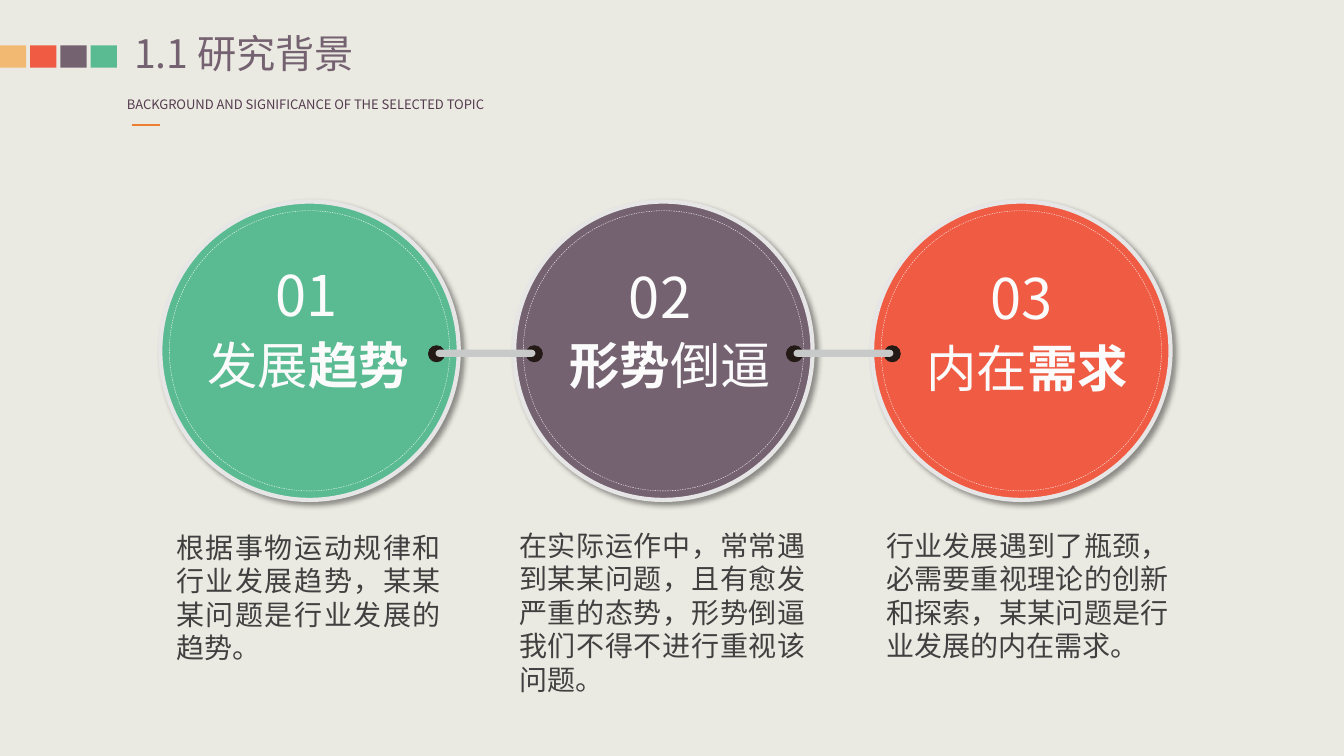
import pptx
import pptx.util
import pptx.dml.color
import pptx.enum.dml
import pptx.enum.shapes
import pptx.enum.text
import pptx.oxml
import pptx.oxml.ns

Inches, Pt = pptx.util.Inches, pptx.util.Pt
RGB = pptx.dml.color.RGBColor
KIND = pptx.enum.shapes.MSO_SHAPE
ALIGN = pptx.enum.text.PP_ALIGN
ANCHOR = pptx.enum.text.MSO_ANCHOR

FONT = "Noto Sans CJK SC"
PAPER = RGB(0xEB, 0xEA, 0xE2)
AMBER = RGB(0xF2, 0xB9, 0x73)
RED = RGB(0xEF, 0x5B, 0x43)
PLUM = RGB(0x75, 0x62, 0x71)
GREEN = RGB(0x5A, 0xBB, 0x93)
RIM = RGB(0xE7, 0xE6, 0xE6)
DASH = RGB(0xFE, 0xFE, 0xFE)
WHITE = RGB(0xFB, 0xFB, 0xFB)
WINE = RGB(0x54, 0x3C, 0x4F)
ORANGE = RGB(0xED, 0x7D, 0x31)
BLACK = RGB(0x23, 0x19, 0x15)
GREY = RGB(0xC8, 0xC9, 0xC9)
INK = RGB(0x40, 0x40, 0x40)

DISC = 2.96
TOP = 2.0
DOT = 0.16

# disc left, colour, number, (words, bold) runs, nudge of heading and number,
# body box, body text
TOPICS = [
    (1.59, GREEN, "01", [("发展", False), ("趋势", True)],
     (0, 0), (-0.01, -0.02), (1.65, 5.21, 2.82, 1.45),
     "根据事物运动规律和行业发展趋势，某某某问题是行业发展的趋势。"),
    (5.10, PLUM, "02", [("形势", True), ("倒逼", False)],
     (0.08, 0), (-0.01, 0), (5.05, 5.19, 3.04, 1.78),
     "在实际运作中，常常遇到某某问题，且有愈发严重的态势，形势倒逼我们不得不进行重视该问题。"),
    (8.65, RED, "03", [("内在", False), ("需求", True)],
     (0.07, 0.02), (0.03, 0.01), (8.69, 5.19, 3.0, 1.45),
     "行业发展遇到了瓶颈，必需要重视理论的创新和探索，某某问题是行业发展的内在需求。"),
]


def place(box):
    return [Inches(n) for n in box]


def style(para, size, color):
    font = para.font
    font.size, font.name = Pt(size), FONT
    font.color.rgb = color
    props = para._p.pPr.find(pptx.oxml.ns.qn("a:defRPr"))
    latin = props.find(pptx.oxml.ns.qn("a:latin"))
    latin.addnext(pptx.oxml.parse_xml(
        f'<a:ea {pptx.oxml.ns.nsdecls("a")} typeface="{FONT}"/>'))


def text(slide, box, runs, size, color, wrap=False):
    frame = slide.shapes.add_textbox(*place(box)).text_frame
    frame.word_wrap = wrap
    para = frame.paragraphs[0]
    for words, bold in runs:
        run = para.add_run()
        run.text = words
        if bold:
            run.font.bold = True
    style(para, size, color)
    return para


def shape(slide, kind, box, fill=None, line=None, width=0):
    item = slide.shapes.add_shape(kind, *place(box))
    item.shadow.inherit = False
    if fill is None:
        item.fill.background()
    else:
        item.fill.solid()
        item.fill.fore_color.rgb = fill
    if line is None:
        item.line.fill.background()
    else:
        item.line.color.rgb = line
        item.line.width = Pt(width)
    return item


def shade(item):
    """Give a shape a soft shadow to the lower right."""
    effects = item._element.spPr.find(pptx.oxml.ns.qn("a:effectLst"))
    effects.append(pptx.oxml.parse_xml(
        f'<a:outerShdw {pptx.oxml.ns.nsdecls("a")} blurRad="{Pt(4)}" '
        f'dist="{Pt(3)}" dir="2700000" algn="tl" rotWithShape="0">'
        '<a:srgbClr val="000000"><a:alpha val="40000"/></a:srgbClr>'
        '</a:outerShdw>'))


def header(slide, x, y):
    for i, color in enumerate([AMBER, RED, PLUM, GREEN]):
        shape(slide, KIND.RECTANGLE, (x + 0.3 * i, y + 0.16, 0.26, 0.22), color)

    title = slide.shapes.title
    title.left, title.top, title.width, title.height = place(
        (x + 1.33, y, 3.99, 0.47))
    frame = title.text_frame
    frame.text = "1.1 研究背景"
    frame.margin_left = frame.margin_right = 0
    frame.margin_top = frame.margin_bottom = 0
    frame.vertical_anchor = ANCHOR.MIDDLE
    frame.auto_size = pptx.enum.text.MSO_AUTO_SIZE.NONE
    frame.paragraphs[0].alignment = ALIGN.LEFT
    style(frame.paragraphs[0], 28, PLUM)

    text(slide, (x + 1.16, y + 0.62, 4.07, 0.26),
         [("BACKGROUND AND SIGNIFICANCE OF THE SELECTED TOPIC", False)],
         9.3, WINE)
    rule = slide.shapes.add_connector(
        pptx.enum.shapes.MSO_CONNECTOR.STRAIGHT,
        *place((x + 1.31, y + 0.95, x + 1.59, y + 0.95)))
    rule.line.color.rgb = ORANGE
    rule.line.width = Pt(1.5)
    rule._element.spPr.append(pptx.oxml.parse_xml(
        f'<a:effectLst {pptx.oxml.ns.nsdecls("a")}/>'))


def disc(slide, x, y, color, number, runs, shift, nudge):
    shade(shape(slide, KIND.OVAL, (x, y, DISC, DISC), color, RIM, 3))
    inner = DISC - 0.18
    ring = shape(slide, KIND.OVAL, (x + 0.09, y + 0.09, inner, inner),
                 None, DASH, 0.25)
    ring.line.dash_style = pptx.enum.dml.MSO_LINE.DASH
    mid = x + DISC / 2
    text(slide, (mid - 1.11 + shift[0], y + 1.27 + shift[1], 2.22, 0.71),
         runs, 36, WHITE)
    text(slide, (mid - 0.43 + nudge[0], y + 0.56 + nudge[1], 0.86, 0.77),
         [(number, False)], 40, WHITE)


def link(slide, x, y, width):
    for left in (x, x + width - DOT):
        shape(slide, KIND.OVAL, (left, y, DOT, DOT), BLACK, BLACK, 0.63)
    bar = shape(slide, KIND.ROUNDED_RECTANGLE,
                (x + 0.07, y + 0.04, width - 0.14, 0.07), GREY)
    bar.adjustments[0] = 0.5


def body(slide, box, words):
    para = text(slide, box, [(words, False)], 20, INK, True)
    para.alignment = ALIGN.JUSTIFY
    para.line_spacing = Pt(24)


def main():
    deck = pptx.Presentation()
    deck.slide_width, deck.slide_height = Inches(13.33), Inches(7.5)
    slide = deck.slides.add_slide(deck.slide_layouts[5])
    slide.background.fill.solid()
    slide.background.fill.fore_color.rgb = PAPER

    header(slide, 0, 0.29)
    for x, color, number, runs, shift, nudge, box, words in TOPICS:
        disc(slide, x, TOP, color, number, runs, shift, nudge)
        body(slide, box, words)
    for x in (4.25, 7.8):
        link(slide, x, TOP + 1.43, 1.13)
    deck.save("out.pptx")


if __name__ == "__main__":
    main()
